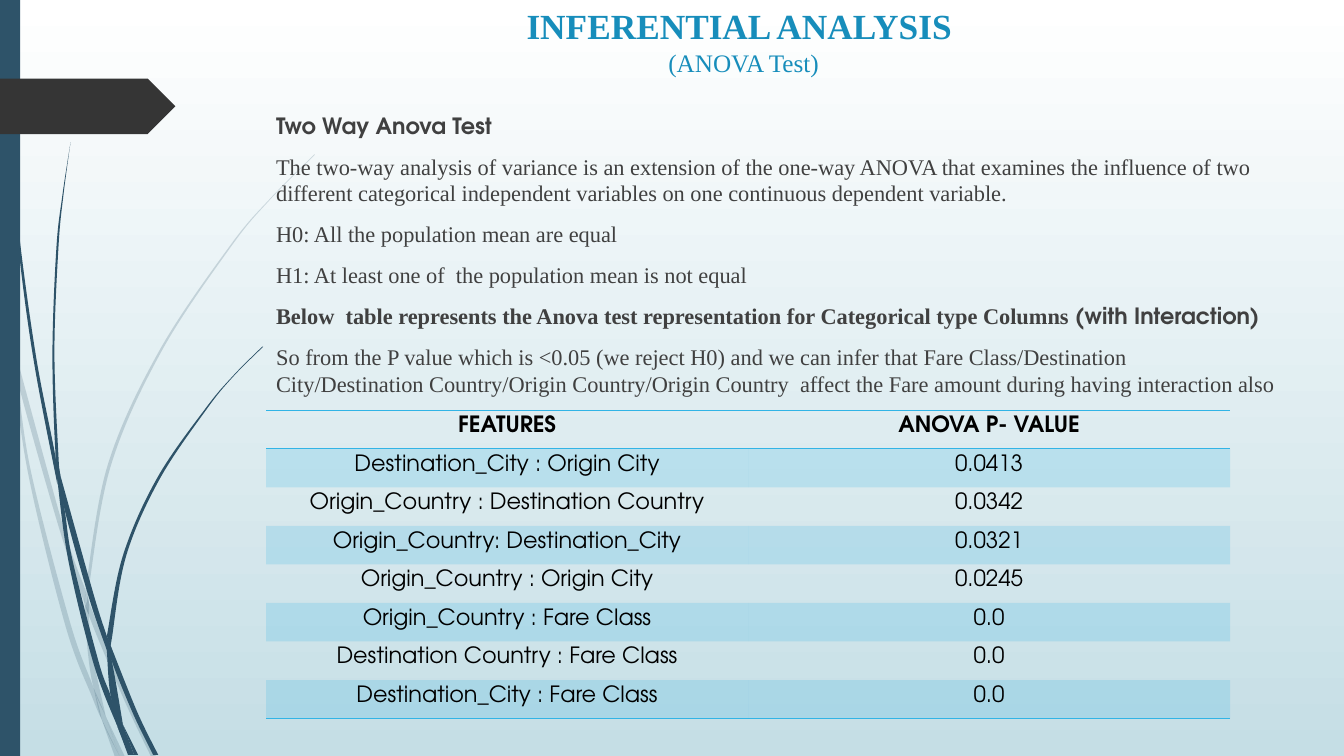
from lxml import etree
from pptx import Presentation
from pptx.dml.color import RGBColor
from pptx.enum import shapes, text
from pptx.oxml.ns import qn
from pptx.util import Inches, Pt

SERIF, GEOMETRIC = "Times New Roman", "TeX Gyre Adventor"
WHITE, MIST = RGBColor(0xFF, 0xFF, 0xFF), RGBColor(0xC5, 0xDE, 0xE5)
NAVY, CHARCOAL = RGBColor(0x2E, 0x53, 0x69), RGBColor(0x35, 0x35, 0x35)
TITLE_BLUE, SKY = RGBColor(0x17, 0x8D, 0xBB), RGBColor(0x31, 0xB4, 0xE6)
GREY, BLACK = RGBColor(0x40, 0x40, 0x40), RGBColor(0, 0, 0)
NO_STYLE = "{2D5ABB26-0587-4C30-8999-92F81FD0307C}"
WIDTH, HEIGHT = 13.33, 7.5
UNITS = 1000  # outline units per inch

HEADING = ("INFERENTIAL ANALYSIS ", 25.2, True), ("(ANOVA Test)", 18, False)

# Each paragraph is a list of (text, font, bold)
EXPLANATION = [
    [("Two Way Anova Test", GEOMETRIC, True)],
    [("The two-way analysis of variance is an extension of the one-way ANOVA that "
      "examines the influence of two different categorical independent variables "
      "on one continuous dependent variable.", SERIF, False)],
    [("H0: All the population mean are equal", SERIF, False)],
    [("H1: At least one of  the population mean is not equal", SERIF, False)],
    [("Below  table represents the Anova test representation for Categorical type "
      "Columns ", SERIF, True), ("(with Interaction)", GEOMETRIC, True)],
    [("So from the P value which is <0.05 (we reject H0) and we can infer that Fare "
      "Class/Destination City/Destination Country/Origin Country/Origin Country  "
      "affect the Fare amount during having interaction also", SERIF, False)],
]

P_VALUES = [
    ("FEATURES", "ANOVA P- VALUE"),
    ("Destination_City : Origin City", "0.0413"),
    ("Origin_Country : Destination Country", "0.0342"),
    ("Origin_Country: Destination_City", "0.0321"),
    ("Origin_Country : Origin City", "0.0245"),
    ("Origin_Country : Fare Class", "0.0"),
    ("Destination Country : Fare Class", "0.0"),
    ("Destination_City : Fare Class", "0.0"),
]

# Grass pieces as (left edge, right edge), each edge from top to bottom
FAINT_GRASS = [
    ([(0, 2.82), (0, 2.99), (.1, 3.44), (.11, 3.5)], [(0, 2.82), (.09, 3.22), (.11, 3.5)]),
    ([(.14, 3.45), (.17, 3.76), (.58, 5.22), (.84, 5.99)],
     [(.14, 3.45), (.62, 5.2), (.85, 5.86)]),
    ([(.88, 5.96), (.88, 6.1), (1.23, 6.94), (1.5, 7.51)],
     [(.88, 5.96), (.92, 6.07), (1.27, 6.92), (1.55, 7.51)]),
    ([(1.05, 7.11), (1.19, 7.51)], [(1.05, 7.11), (1.24, 7.51)]),
    ([(.11, 3.5), (.28, 4.7), (.65, 6.21), (.92, 6.93), (1.01, 7.14)],
     [(.11, 3.5), (.17, 3.76), (.31, 4.69), (.7, 6.19), (.93, 6.83), (1.01, 7.14)]),
    ([(.84, 5.99), (.87, 6.46), (.93, 6.83), (1.05, 7.11)],
     [(.84, 5.99), (.88, 6.1), (.91, 6.46), (1.05, 7.11)]),
    ([(3.12, 1.53), (2.68, 1.97), (2.28, 2.44), (1.58, 3.48), (1.07, 4.61), (.85, 5.84)],
     [(3.12, 1.54), (2.68, 1.98), (2.29, 2.45), (1.6, 3.49), (1.1, 4.62), (.88, 5.84),
      (.88, 5.96)]),
    ([(1.01, 7.14), (1.14, 7.51)], [(1.01, 7.14), (1.19, 7.51)]),
    ([(.85, 5.86), (.84, 5.99), (.88, 6.1)], [(.85, 5.86), (.88, 5.96), (.88, 6.1)]),
    ([(.93, 6.83), (1.01, 7.14), (1.19, 7.51)], [(.93, 6.83), (1.05, 7.11), (1.19, 7.51)]),
]
DARK_GRASS = [
    ([(.03, 0), (.04, .48), (.07, 1.1), (.17, 2.33), (.33, 3.55), (.57, 4.81)],
     [(.04, 0), (.05, .48), (.08, 1.09), (.19, 2.32), (.36, 3.55), (.55, 4.53), (.57, 4.81)]),
    ([(.6, 4.72), (.64, 5.05), (.88, 5.92), (1.06, 6.45)],
     [(.6, 4.72), (.93, 5.9), (1.06, 6.31)]),
    ([(1.1, 6.41), (1.11, 6.56), (1.32, 7.08), (1.52, 7.49)],
     [(1.1, 6.41), (1.36, 7.06), (1.57, 7.49)]),
    ([(.57, 4.77), (.68, 5.57), (.93, 6.59), (1.17, 7.22)],
     [(.57, 4.77), (.64, 5.05), (.72, 5.56), (.98, 6.57), (1.1, 6.91), (1.17, 7.22)]),
    ([(.7, 1.41), (.62, 1.93), (.56, 2.45), (.52, 3.49), (.55, 4.49), (.6, 4.72)],
     [(.7, 1.41), (.63, 1.93), (.58, 2.45), (.54, 3.49), (.58, 4.53), (.6, 4.72)]),
    ([(1.22, 7.19), (1.33, 7.49)], [(1.22, 7.19), (1.37, 7.49)]),
    ([(.55, 4.49), (.57, 4.77), (.64, 5.05)], [(.55, 4.49), (.6, 4.72), (.64, 5.05)]),
    ([(2.6, 3.44), (2.31, 3.73), (2.04, 4.05), (1.56, 4.74), (1.22, 5.51), (1.06, 6.31)],
     [(2.61, 3.44), (2.31, 3.74), (2.05, 4.06), (1.58, 4.76), (1.25, 5.52), (1.11, 6.33),
      (1.1, 6.41)]),
    ([(1.17, 7.22), (1.27, 7.49)], [(1.17, 7.22), (1.31, 7.49)]),
    ([(1.06, 6.45), (1.1, 6.91), (1.22, 7.19)], [(1.06, 6.45), (1.11, 6.56), (1.22, 7.19)]),
    ([(1.06, 6.31), (1.06, 6.45), (1.11, 6.56)], [(1.06, 6.31), (1.1, 6.41), (1.11, 6.56)]),
    ([(1.1, 6.91), (1.17, 7.22), (1.3, 7.49)], [(1.1, 6.91), (1.22, 7.19), (1.33, 7.49)]),
]


def curve_handles(edge):
    """Two Bezier handles for every step of a Catmull-Rom curve along the edge."""
    padded = [edge[0], *edge, edge[-1]]
    return [[tuple(q + (r - p) / 6 for p, q, r in zip(a, b, c)),
             tuple(r - (s - q) / 6 for q, r, s in zip(b, c, d))]
            for a, b, c, d in zip(padded, padded[1:], padded[2:], padded[3:])]


def set_alpha(element, percent):
    color = next(element.iter(qn("a:srgbClr")))
    etree.SubElement(color, qn("a:alpha")).set("val", str(percent * 1000))


def paint(shape, color):
    shape.shadow.inherit = False
    shape.fill.solid()
    shape.fill.fore_color.rgb = color
    shape.line.fill.background()


def add_grass(slide, left, right, alpha):
    back = right[::-1]
    outline = [(round(x * UNITS), round(y * UNITS)) for x, y in left + back]
    builder = slide.shapes.build_freeform(*outline[0], scale=Inches(1) / UNITS)
    builder.add_line_segments(outline[1:], close=True)
    piece = builder.convert_to_shape()
    paint(piece, NAVY)
    if alpha < 100:
        set_alpha(piece.fill._xPr, alpha)
    # bend the straight steps; the one joining both edges stays straight
    origin = [min(axis) for axis in zip(*outline)]
    handles = curve_handles(left) + [None] + curve_handles(back)
    for step, pair in zip(list(piece._element.iter(qn("a:lnTo"))), handles):
        if pair:
            step.tag = qn("a:cubicBezTo")
            for place, handle in enumerate(pair):
                x, y = (str(round(v * UNITS) - o) for v, o in zip(handle, origin))
                step.insert(place, etree.Element(qn("a:pt"), x=x, y=y))


def add_border(cell, side):
    line = etree.SubElement(cell._tc.get_or_add_tcPr(), qn(f"a:{side}"), w=str(Pt(1)))
    fill = etree.SubElement(line, qn("a:solidFill"))
    etree.SubElement(fill, qn("a:srgbClr"), val=str(SKY))


def add_scenery(slide):
    for grass, alpha in ((FAINT_GRASS, 20), (DARK_GRASS, 100)):
        for left, right in grass:
            add_grass(slide, left, right, alpha)
    for kind, top, width, height, color in (
            (shapes.MSO_SHAPE.RECTANGLE, 0, 0.2, HEIGHT, NAVY),
            (shapes.MSO_SHAPE.PENTAGON, 0.78, 1.74, 0.55, CHARCOAL)):
        paint(slide.shapes.add_shape(
            kind, 0, Inches(top), Inches(width), Inches(height)), color)


def fill_title(slide):
    title = slide.shapes.title
    slide.shapes._spTree.append(title._element)  # in front of the scenery
    title.left, title.top = Inches(2.83), 0
    title.width, title.height = Inches(9.09), Inches(0.81)
    frame = title.text_frame
    frame.auto_size = text.MSO_AUTO_SIZE.NONE
    frame.vertical_anchor = text.MSO_ANCHOR.MIDDLE
    line = frame.paragraphs[0]
    line.alignment, line.line_spacing = text.PP_ALIGN.CENTER, 1.0
    for index, (words, size, bold) in enumerate(HEADING):
        if index:
            line.add_line_break()
        run = line.add_run()
        run.text = words
        run.font.name, run.font.size, run.font.bold = SERIF, Pt(size), bold
        run.font.color.rgb = TITLE_BLUE


def add_explanation(slide):
    frame = slide.shapes.add_textbox(
        Inches(2.64), Inches(1.06), Inches(10.12), Inches(4.13)).text_frame
    frame.word_wrap = True
    for index, runs in enumerate(EXPLANATION):
        paragraph = frame.add_paragraph() if index else frame.paragraphs[0]
        paragraph.space_before = Pt(10)
        for words, font, bold in runs:
            run = paragraph.add_run()
            run.text = words
            run.font.name, run.font.bold, run.font.size = font, bold, Pt(16)
            run.font.color.rgb = GREY


def add_p_values(slide):
    rows, columns = len(P_VALUES), len(P_VALUES[0])
    frame = slide.shapes.add_table(
        rows, columns, Inches(2.64), Inches(4.07), Inches(9.56), Inches(3.06))
    frame._element.find(".//" + qn("a:tableStyleId")).text = NO_STYLE
    for r, values in enumerate(P_VALUES):
        for c, value in enumerate(values):
            cell = frame.table.cell(r, c)
            cell.margin_top, cell.margin_bottom = Inches(0.06), 0
            if r == 0:
                add_border(cell, "lnT")
            if r in (0, rows - 1):
                add_border(cell, "lnB")
            if r % 2:
                cell.fill.solid()
                cell.fill.fore_color.rgb = SKY
                set_alpha(cell._tc.tcPr.find(qn("a:solidFill")), 20)
            else:
                cell.fill.background()
            cell.text = value
            paragraph = cell.text_frame.paragraphs[0]
            paragraph.alignment = text.PP_ALIGN.CENTER
            font = paragraph.font
            font.name, font.size, font.bold = GEOMETRIC, Pt(16), r == 0
            font.color.rgb = BLACK


deck = Presentation()
deck.slide_width, deck.slide_height = Inches(WIDTH), Inches(HEIGHT)
slide = deck.slides.add_slide(deck.slide_layouts[5])
sky = slide.background.fill
sky.gradient()
sky.gradient_angle = 270
for stop, color in zip(sky.gradient_stops, (WHITE, MIST)):
    stop.color.rgb = color
add_scenery(slide)
fill_title(slide)
add_explanation(slide)
add_p_values(slide)
deck.save("out.pptx")
